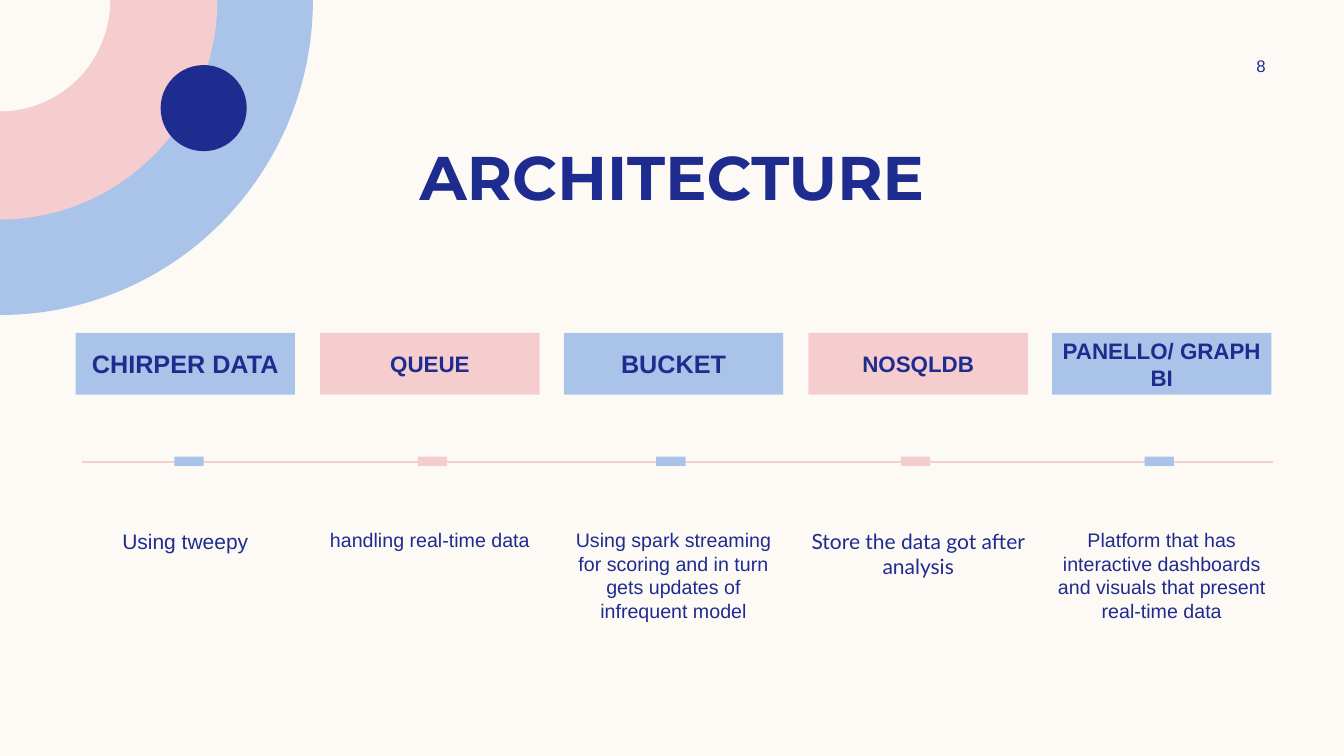
from dataclasses import dataclass

from lxml import etree
from pptx import Presentation
from pptx.dml.color import RGBColor
from pptx.enum.shapes import MSO_CONNECTOR, MSO_SHAPE
from pptx.enum.text import MSO_ANCHOR, MSO_AUTO_SIZE, PP_ALIGN
from pptx.oxml.ns import qn
from pptx.shapes.autoshape import Shape
from pptx.slide import Slide
from pptx.util import Emu, Pt

RECTANGLE = MSO_SHAPE.RECTANGLE
OVAL = MSO_SHAPE.OVAL
QUARTER_DISC = MSO_SHAPE.PIE_WEDGE
STRAIGHT = MSO_CONNECTOR.STRAIGHT
TOP = MSO_ANCHOR.TOP
MIDDLE = MSO_ANCHOR.MIDDLE
CENTER = PP_ALIGN.CENTER
NO_AUTOFIT = MSO_AUTO_SIZE.NONE

CREAM = RGBColor(0xFD, 0xFA, 0xF6)
BLUE = RGBColor(0xAA, 0xC3, 0xE8)
PINK = RGBColor(0xF5, 0xCD, 0xCE)
NAVY = RGBColor(0x1F, 0x2C, 0x8F)
LINE_PINK = RGBColor(0xF2, 0xD1, 0xD1)

EMU_PER_PX = 9525
TITLE_ONLY = 5
COLUMN_LEFT = 72
COLUMN_STEP = 232.6
COLUMN_WIDTH = 209


@dataclass(frozen=True)
class Frame:
    left: int
    top: int
    width: int
    height: int


@dataclass(frozen=True)
class TextStyle:
    size: int
    font: str = "Arial"
    bold: bool = False
    anchor: MSO_ANCHOR = MIDDLE
    margin_x: int = 0
    margin_y: int = 0


@dataclass(frozen=True)
class Disc:
    radius_x: int
    radius_y: int
    color: RGBColor


@dataclass(frozen=True)
class Stage:
    label: str
    label_size: int
    color: RGBColor
    marker_left: int
    description: str
    description_size: int = 14
    description_font: str = "Arial"
    description_height: int = 84


DISCS = [Disc(298, 300, BLUE), Disc(207, 209, PINK), Disc(105, 106, CREAM)]

STAGES = [
    Stage("CHIRPER DATA", 18, BLUE, 166, "Using tweepy", 15),
    Stage("QUEUE", 16, PINK, 398, "handling real-time data"),
    Stage("BUCKET", 18, BLUE, 625,
          "Using spark streaming for scoring and in turn gets updates of infrequent model"),
    Stage("NOSQLDB", 16, PINK, 858, "Store the data got after analysis", 15, "Lato"),
    Stage("PANELLO/ GRAPH BI", 16, BLUE, 1090,
          "Platform that has interactive dashboards and visuals that present real-time data",
          description_height=122),
]


def px(length: int) -> Emu:
    return Emu(length * EMU_PER_PX)


def place(box: Shape, frame: Frame) -> None:
    box.left, box.top = px(frame.left), px(frame.top)
    box.width, box.height = px(frame.width), px(frame.height)


def write(box: Shape, text: str, style: TextStyle) -> None:
    text_frame = box.text_frame
    text_frame.word_wrap = True
    text_frame.auto_size = NO_AUTOFIT
    text_frame.vertical_anchor = style.anchor
    text_frame.margin_left = text_frame.margin_right = px(style.margin_x)
    text_frame.margin_top = text_frame.margin_bottom = px(style.margin_y)
    para = text_frame.paragraphs[0]
    para.alignment = CENTER
    para.line_spacing = 1.0
    span = para.add_run()
    span.text = text
    span.font.name = style.font
    span.font.size = Pt(style.size)
    span.font.bold = style.bold
    span.font.color.rgb = NAVY


def add_filled(page: Slide, preset: MSO_SHAPE, frame: Frame, color: RGBColor) -> Shape:
    box = page.shapes.add_shape(preset, 0, 0, 0, 0)
    place(box, frame)
    box.shadow.inherit = False
    box.fill.solid()
    box.fill.fore_color.rgb = color
    box.line.fill.background()
    return box


def add_text(page: Slide, frame: Frame, text: str, style: TextStyle) -> None:
    box = page.shapes.add_textbox(0, 0, 0, 0)
    place(box, frame)
    write(box, text, style)


def add_corner_disc(page: Slide, disc: Disc) -> None:
    wedge = add_filled(page, QUARTER_DISC, Frame(0, 0, disc.radius_x, disc.radius_y), disc.color)
    wedge.rotation = 180


def add_timeline(page: Slide) -> None:
    line = page.shapes.add_connector(STRAIGHT, px(78), px(440), px(1212), px(440))
    line.line.color.rgb = LINE_PINK
    line.line.width = Pt(1)
    etree.SubElement(line._element.spPr, qn("a:effectLst"))


def add_stage(page: Slide, index: int, stage: Stage) -> None:
    left = round(COLUMN_LEFT + index * COLUMN_STEP)
    label = add_filled(page, RECTANGLE, Frame(left, 317, COLUMN_WIDTH, 59), stage.color)
    write(label, stage.label, TextStyle(stage.label_size, bold=True))
    add_filled(page, RECTANGLE, Frame(stage.marker_left, 435, 28, 9), stage.color)
    add_text(page, Frame(left, 498, COLUMN_WIDTH, stage.description_height), stage.description,
             TextStyle(stage.description_size, stage.description_font, anchor=TOP, margin_y=5))


def main() -> None:
    deck = Presentation()
    deck.slide_width, deck.slide_height = px(1280), px(720)
    page = deck.slides.add_slide(deck.slide_layouts[TITLE_ONLY])
    page.background.fill.solid()
    page.background.fill.fore_color.rgb = CREAM

    for disc in DISCS:
        add_corner_disc(page, disc)
    add_filled(page, OVAL, Frame(153, 62, 82, 82), NAVY)
    add_timeline(page)

    title = page.shapes.title
    place(title, Frame(80, 127, 1120, 81))
    write(title, "ARCHITECTURE", TextStyle(44, "Montserrat", bold=True, margin_x=10, margin_y=5))
    add_text(page, Frame(1149, 48, 104, 29), "8", TextStyle(12))

    for index, stage in enumerate(STAGES):
        add_stage(page, index, stage)
    deck.save("out.pptx")


if __name__ == "__main__":
    main()
